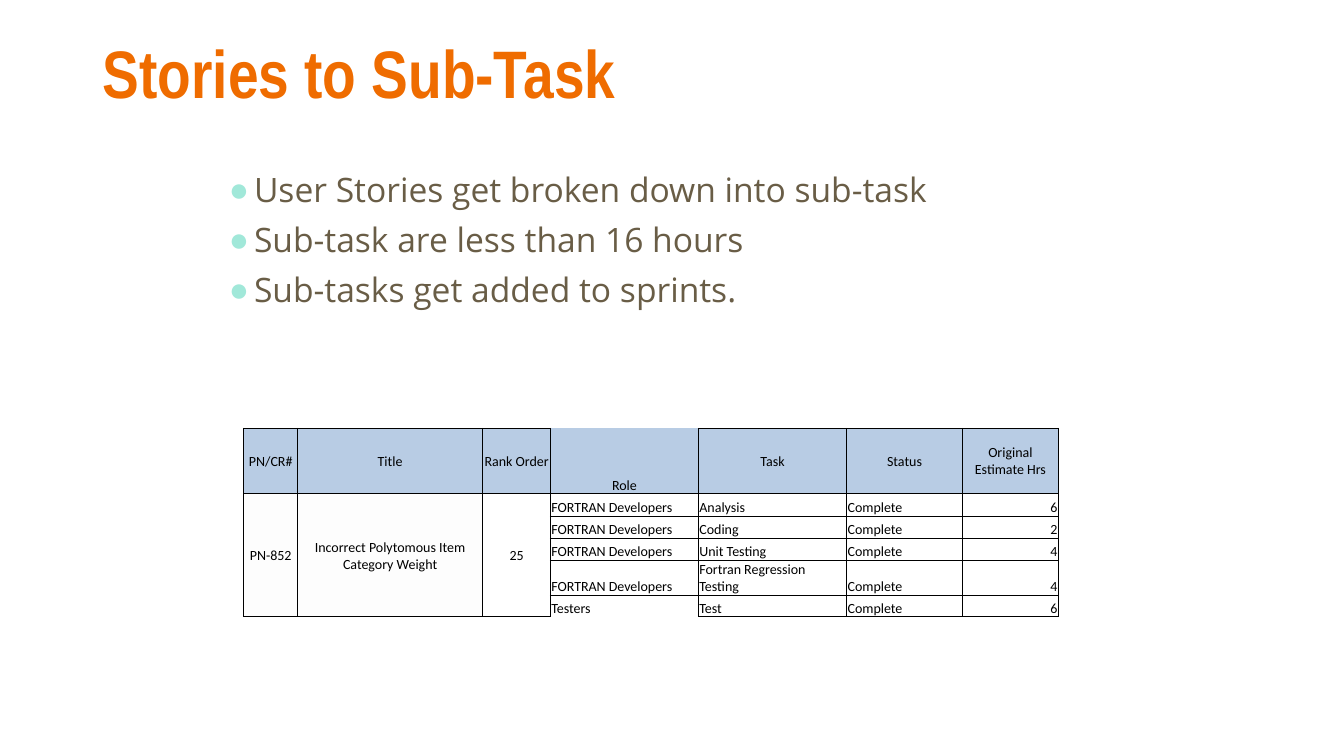
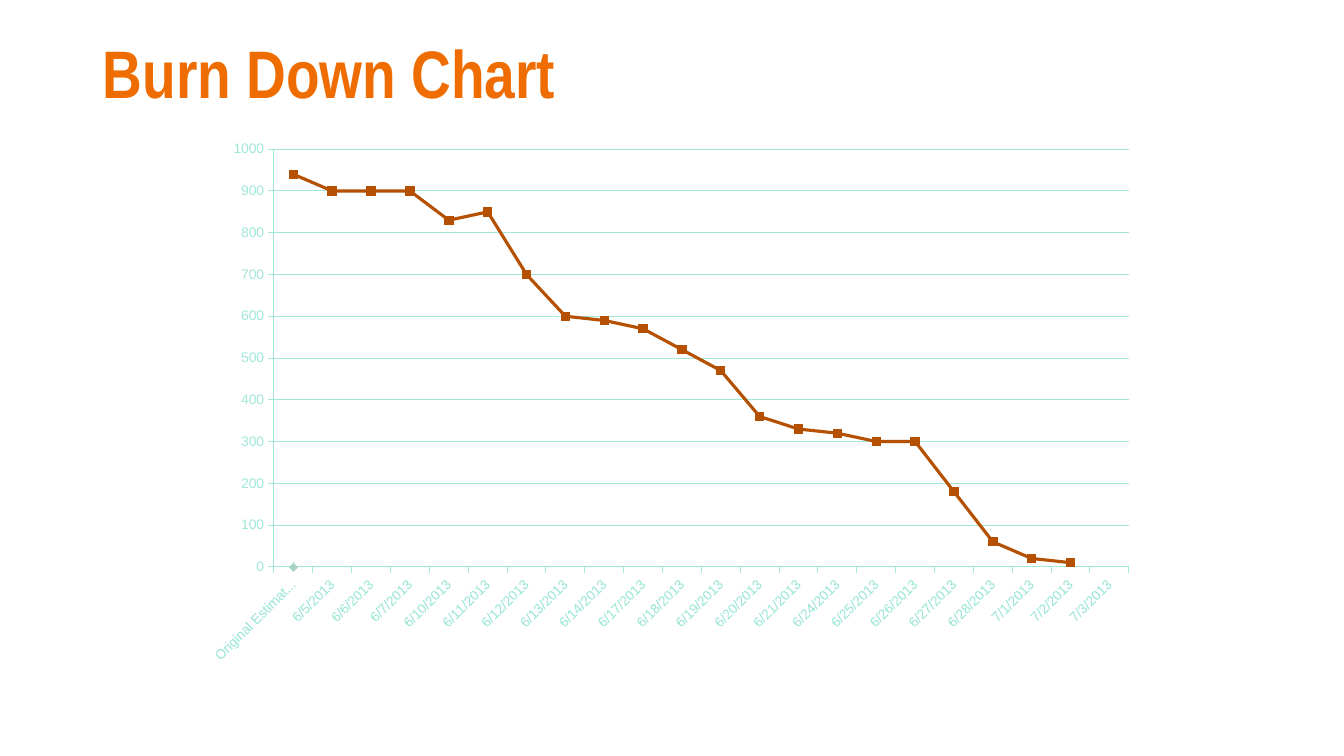
from pptx import Presentation
from pptx.chart.data import CategoryChartData
from pptx.dml.color import RGBColor
from pptx.enum.chart import XL_CHART_TYPE, XL_MARKER_STYLE, XL_TICK_MARK
from pptx.enum.text import MSO_ANCHOR, MSO_AUTO_SIZE, PP_ALIGN
from pptx.oxml.ns import qn
from pptx.util import Emu, Inches, Pt
from lxml import etree

LEFT, CENTER, RIGHT = PP_ALIGN.LEFT, PP_ALIGN.CENTER, PP_ALIGN.RIGHT
MIDDLE, BOTTOM = MSO_ANCHOR.MIDDLE, MSO_ANCHOR.BOTTOM
LINE_MARKERS = XL_CHART_TYPE.LINE_MARKERS
SQUARE, DIAMOND = XL_MARKER_STYLE.SQUARE, XL_MARKER_STYLE.DIAMOND
TICK_OUT = XL_TICK_MARK.OUTSIDE
NO_FIT = MSO_AUTO_SIZE.NONE

ORANGE, BROWN, MINT, BLACK = "EF6C00", "695D46", "A1E8D9", "000000"
HEADER_BLUE, OFF_WHITE = "B8CCE4", "FDFDFD"
BURN_LINE, ESTIMATE_MARK = "B45000", "A9D3C5"

BULLETS = [
    "User Stories get broken down into sub-task",
    "Sub-task are less than 16 hours",
    "Sub-tasks get added to sprints.",
]

HEADERS = ["PN/CR#", "Title", "Rank Order", "Role", "Task", "Status",
           "Original Estimate Hrs"]
STORY = ["PN-852", "Incorrect Polytomous Item Category Weight", "25"]
TASKS = [
    ["FORTRAN Developers", "Analysis", "Complete", "6"],
    ["FORTRAN Developers", "Coding", "Complete", "2"],
    ["FORTRAN Developers", "Unit Testing", "Complete", "4"],
    ["FORTRAN Developers", "Fortran Regression Testing", "Complete", "4"],
    ["Testers", "Test", "Complete", "6"],
]
COLUMN_WIDTHS = [0.53, 1.84, 0.67, 1.47, 1.47, 1.15, 0.95]
ROW_HEIGHTS = [0.65, 0.22, 0.22, 0.22, 0.35, 0.21]
ROLE_COLUMN = HEADERS.index("Role")

SPRINT_DAYS = [f"6/{day}/2013" for day in
               (5, 6, 7, 10, 11, 12, 13, 14, 17, 18, 19, 20, 21, 24, 25, 26, 27, 28)]
SPRINT_DAYS += [f"7/{day}/2013" for day in (1, 2, 3)]
HOURS_LEFT = [940, 900, 900, 900, 830, 850, 700, 600, 590, 570, 520,
              470, 360, 330, 320, 300, 300, 180, 60, 20, 10]


def rgb(value):
    return RGBColor.from_string(value)


def place(shape, left, top, width, height):
    shape.left, shape.top = Inches(left), Inches(top)
    shape.width, shape.height = Inches(width), Inches(height)


def style_font(font, name, size, color, bold=False):
    font.name, font.size, font.bold = name, Pt(size), bold
    font.color.rgb = rgb(color)


def add_page(deck, layout_index, title):
    page = deck.slides.add_slide(deck.slide_layouts[layout_index])
    box = page.shapes.title
    place(box, 0.92, 0.2, 11.5, 1.12)
    frame = box.text_frame
    frame.auto_size, frame.vertical_anchor = NO_FIT, MIDDLE
    frame.text = title
    para = frame.paragraphs[0]
    para.alignment, para.line_spacing = LEFT, 0.9
    style_font(para.font, "Arial Narrow", 48, ORANGE, bold=True)
    return page


def set_bullet(para, character, color, indent):
    properties = para._p.get_or_add_pPr()
    properties.set("marL", str(Inches(indent)))
    properties.set("indent", str(-Inches(indent)))
    bullet_color = etree.SubElement(properties, qn("a:buClr"))
    etree.SubElement(bullet_color, qn("a:srgbClr"), val=color)
    etree.SubElement(properties, qn("a:buFont"), typeface="Arial")
    etree.SubElement(properties, qn("a:buChar"), char=character)


def fill_bullets(box, items):
    place(box, 2.17, 1.67, 9, 4.17)
    frame = box.text_frame
    frame.auto_size = NO_FIT
    for index, item in enumerate(items):
        para = frame.add_paragraph() if index else frame.paragraphs[0]
        para.text = item
        set_bullet(para, "●", MINT, 0.25)
        para.line_spacing = 0.9
        para.space_before = Pt(10 if index else 0)
        style_font(para.font, "Open Sans", 24, BROWN)


def set_borders(cell, hidden_side=None):
    """Draw thin black borders; must run before the cell gets its fill."""
    properties = cell._tc.get_or_add_tcPr()
    for side in "LRTB":
        line = etree.SubElement(properties, qn(f"a:ln{side}"), w=str(Pt(0.75)))
        if side == hidden_side:
            etree.SubElement(line, qn("a:noFill"))
        else:
            solid = etree.SubElement(line, qn("a:solidFill"))
            etree.SubElement(solid, qn("a:srgbClr"), val=BLACK)


def format_cell(cell, text, align=CENTER, anchor=MIDDLE, fill=None, hidden_side=None):
    cell.margin_left = cell.margin_top = cell.margin_right = Inches(0.01)
    cell.margin_bottom = 0
    cell.vertical_anchor = anchor
    set_borders(cell, hidden_side)
    if fill:
        cell.fill.solid()
        cell.fill.fore_color.rgb = rgb(fill)
    else:
        cell.fill.background()
    cell.text = text
    para = cell.text_frame.paragraphs[0]
    para.alignment = align
    style_font(para.font, "Calibri", 10, BLACK)


def add_task_table(page):
    frame = page.shapes.add_table(
        len(ROW_HEIGHTS), len(HEADERS), Inches(2.42), Inches(4.25),
        Inches(sum(COLUMN_WIDTHS)), Inches(sum(ROW_HEIGHTS)))
    table = frame.table
    table.first_row = table.horz_banding = False
    for column, width in zip(table.columns, COLUMN_WIDTHS):
        column.width = Inches(width)
    for row, height in zip(table.rows, ROW_HEIGHTS):
        row.height = Inches(height)

    for column, header in enumerate(HEADERS):
        is_role = column == ROLE_COLUMN
        format_cell(table.cell(0, column), header, fill=HEADER_BLUE,
                    anchor=BOTTOM if is_role else MIDDLE,
                    hidden_side="T" if is_role else None)
    for row, task in enumerate(TASKS, start=1):
        story = STORY if row == 1 else [""] * len(STORY)
        for column, text in enumerate(story):
            format_cell(table.cell(row, column), text,
                        fill=OFF_WHITE if column < 2 else None)
        for column, text in enumerate(task, start=ROLE_COLUMN):
            open_end = column == ROLE_COLUMN and row == len(TASKS)
            format_cell(table.cell(row, column), text, anchor=BOTTOM,
                        align=RIGHT if column == len(HEADERS) - 1 else LEFT,
                        hidden_side="B" if open_end else None)
    for column in range(len(STORY)):
        table.cell(1, column).merge(table.cell(len(TASKS), column))


def style_line(line, color, width):
    line.color.rgb = rgb(color)
    line.width = Pt(width)


def style_series(series, color, marker_style, marker_size):
    series.smooth = False
    style_line(series.format.line, color, 2.25)
    marker = series.marker
    marker.style, marker.size = marker_style, marker_size
    marker.format.fill.solid()
    marker.format.fill.fore_color.rgb = rgb(color)
    marker.format.line.fill.background()


def set_plot_area(chart, **fractions):
    """Fix the inner plot area as fractions (x, y, w, h) of the chart."""
    plot_area = chart._chartSpace.chart.plotArea
    layout = plot_area.find(qn("c:layout"))
    if layout is None:
        layout = etree.Element(qn("c:layout"))
        plot_area.insert(0, layout)
    manual = etree.SubElement(layout, qn("c:manualLayout"))
    settings = {"layoutTarget": "inner", "xMode": "edge", "yMode": "edge", **fractions}
    for name, value in settings.items():
        etree.SubElement(manual, qn(f"c:{name}"), val=str(value))


def add_burn_down_chart(page):
    data = CategoryChartData()
    data.categories = ["Original Estimate Hrs"] + SPRINT_DAYS
    blanks = len(SPRINT_DAYS) + 1
    data.add_series("Series 1", HOURS_LEFT + [None] * (blanks - len(HOURS_LEFT)))
    data.add_series("Series 2", [0] + [None] * (blanks - 1))
    chart = page.shapes.add_chart(
        LINE_MARKERS, Inches(2.08), Inches(1.33), Inches(9.25), Inches(5.25), data).chart
    chart.has_legend = chart.has_title = False
    style_font(chart.font, "Arial", 10, MINT)
    set_plot_area(chart, x=0.069, y=0.029, w=0.917, h=0.797)

    plot = chart.plots[0]
    plot.vary_by_categories = False
    style_series(plot.series[0], BURN_LINE, SQUARE, 6)
    style_series(plot.series[1], ESTIMATE_MARK, DIAMOND, 6)

    days, hours = chart.category_axis, chart.value_axis
    for axis in (days, hours):
        axis.major_tick_mark = TICK_OUT
        style_line(axis.format.line, MINT, 0.75)
        style_font(axis.tick_labels.font, "Arial", 10, MINT)
    hours.minimum_scale, hours.maximum_scale, hours.major_unit = 0, 1000, 100
    hours.has_major_gridlines = True
    style_line(hours.major_gridlines.format.line, MINT, 0.75)
    label_body = days._element.find(qn("c:txPr")).find(qn("a:bodyPr"))
    label_body.set("rot", str(-45 * 60000))
    label_body.set("vert", "horz")


def main():
    deck = Presentation()
    deck.slide_width, deck.slide_height = Emu(12192000), Inches(7.5)

    page = add_page(deck, 1, "Stories to Sub-Task")
    fill_bullets(page.placeholders[1], BULLETS)
    add_task_table(page)

    page = add_page(deck, 5, "Burn Down Chart")
    add_burn_down_chart(page)

    deck.save("out.pptx")


if __name__ == "__main__":
    main()
